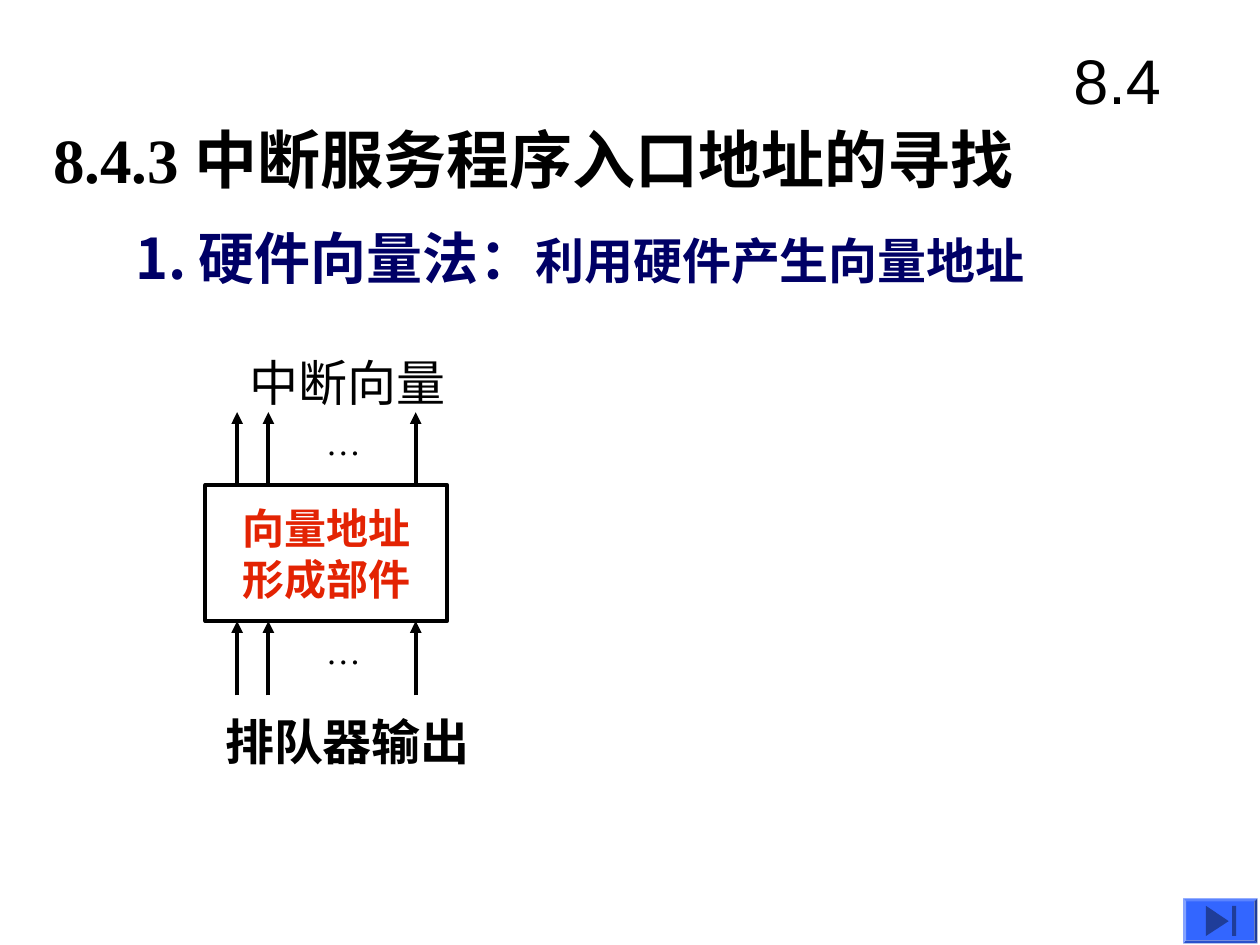
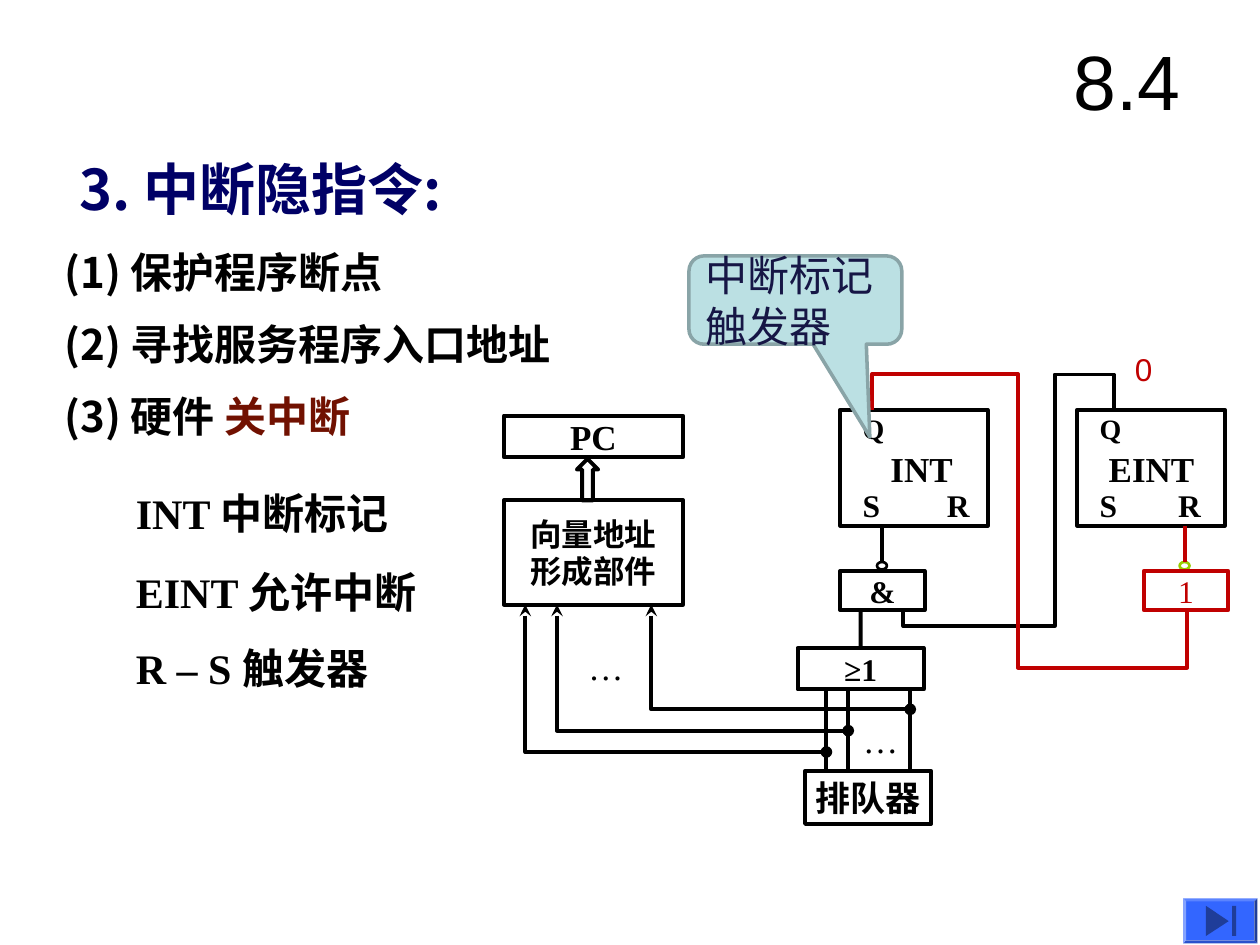
from lxml import etree
from pptx import Presentation
from pptx.dml.color import RGBColor
from pptx.enum.shapes import MSO_CONNECTOR, MSO_SHAPE
from pptx.enum.text import MSO_ANCHOR, MSO_AUTO_SIZE, PP_ALIGN
from pptx.oxml.ns import qn
from pptx.util import Cm, Pt

RECTANGLE, ELLIPSE = MSO_SHAPE.RECTANGLE, MSO_SHAPE.OVAL
BEVEL, UP_ARROW = MSO_SHAPE.BEVEL, MSO_SHAPE.UP_ARROW
CALLOUT = MSO_SHAPE.ROUNDED_RECTANGULAR_CALLOUT
STRAIGHT = MSO_CONNECTOR.STRAIGHT
LEFT, CENTER = PP_ALIGN.LEFT, PP_ALIGN.CENTER
TOP, MIDDLE = MSO_ANCHOR.TOP, MSO_ANCHOR.MIDDLE
NO_AUTOFIT = MSO_AUTO_SIZE.NONE

SERIF, SANS, CJK = "Times New Roman", "Arial", "Noto Sans CJK SC"
BLACK, NAVY, RED = "000000", "000066", "C00000"
TOP_SITE = 0


def color(value):
    return RGBColor.from_string(value)


def style_run(run, font, size, ink=BLACK, bold=False):
    run.font.name = font
    run.font.size = Pt(size)
    run.font.bold = bold
    run.font.color.rgb = color(ink)
    east_asian = etree.Element(qn("a:ea"), typeface=CJK)
    run.font._element.find(qn("a:latin")).addnext(east_asian)


def write(frame, text, font, size, ink=BLACK, bold=False, align=LEFT, pitch=None):
    frame.text = text
    for paragraph in frame.paragraphs:
        paragraph.alignment = align
        if pitch:
            paragraph.line_spacing = Pt(pitch)
        for run in paragraph.runs:
            style_run(run, font, size, ink, bold)


def append_run(paragraph, text, *style):
    run = paragraph.add_run()
    run.text = text
    style_run(run, *style)


def fill_placeholder(holder, bounds, text, *style, anchor=MIDDLE, pitch=None):
    holder.left, holder.top, holder.width, holder.height = map(Cm, bounds)
    frame = holder.text_frame
    frame.auto_size = NO_AUTOFIT
    frame.word_wrap = True
    frame.vertical_anchor = anchor
    frame.margin_left = frame.margin_right = 0
    write(frame, text, *style, True, pitch=pitch)
    return frame


def remove_bullets(frame, tab=None):
    for paragraph in frame.paragraphs:
        properties = paragraph._p.get_or_add_pPr()
        properties.set("marL", "0")
        properties.set("indent", "0")
        paragraph.space_before = Pt(0)
        etree.SubElement(properties, qn("a:buNone"))
        if tab:
            stops = etree.SubElement(properties, qn("a:tabLst"))
            etree.SubElement(stops, qn("a:tab"), pos=str(Cm(tab)), algn="l")


def add_label(slide, bounds, text, *style, anchor=TOP):
    frame = slide.shapes.add_textbox(*map(Cm, bounds)).text_frame
    frame.word_wrap = True
    frame.vertical_anchor = anchor
    write(frame, text, *style)


def paint(shape, fill, line, width=2.25):
    shape.shadow.inherit = False
    if fill:
        shape.fill.solid()
        shape.fill.fore_color.rgb = color(fill)
    else:
        shape.fill.background()
    if line:
        shape.line.color.rgb = color(line)
        shape.line.width = Pt(width)
    else:
        shape.line.fill.background()


def add_figure(slide, kind, bounds, fill=None, line=BLACK, width=2.25):
    figure = slide.shapes.add_shape(kind, *map(Cm, bounds))
    paint(figure, fill, line, width)
    return figure


def add_block(slide, bounds, text, font, size, ink=BLACK, bold=True, line=BLACK, pitch=None):
    block = add_figure(slide, RECTANGLE, bounds, line=line)
    frame = block.text_frame
    frame.word_wrap = False
    frame.vertical_anchor = MIDDLE
    write(frame, text, font, size, ink, bold, CENTER, pitch)
    return block


def set_line_ends(shape, head, tail):
    outline = shape.line._get_or_add_ln()
    for tag, kind in (("a:headEnd", head), ("a:tailEnd", tail)):
        if kind:
            etree.SubElement(outline, qn(tag), type=kind)


def add_wire(slide, start, end, ink=BLACK, tail=None, target=None):
    wire = slide.shapes.add_connector(STRAIGHT, *map(Cm, start + end))
    wire.line.color.rgb = color(ink)
    wire.line.width = Pt(2.25)
    set_line_ends(wire, None, tail)
    etree.SubElement(wire._element.spPr, qn("a:effectLst"))
    if target:
        wire.end_connect(target, TOP_SITE)


def add_outline(slide, points, fill=None, line=BLACK, head=None, tail=None):
    corners = [(Cm(x), Cm(y)) for x, y in points]
    builder = slide.shapes.build_freeform(*corners[0], scale=1.0)
    builder.add_line_segments(corners[1:], close=bool(fill))
    outline = builder.convert_to_shape()
    paint(outline, fill, line)
    if line:
        set_line_ends(outline, head, tail)


def add_ellipsis(slide, left, top):
    add_label(slide, (left, top, 1.22, 1.12), "…", SERIF, 20)


def add_section_and_button(slide, size):
    add_label(slide, (21.39, 0.43, 3.18, 2.34), "8.4", SANS, size, anchor=MIDDLE)
    button = add_figure(slide, BEVEL, (23.85, 18.11, 1.5, 0.91), "3366FF", None)
    button.adjustments[0] = 0.07
    icon = "1F3D99"
    add_outline(slide, [(24.31, 18.26), (24.77, 18.57), (24.31, 18.87)], icon, None)
    add_figure(slide, RECTANGLE, (24.84, 18.26, 0.08, 0.61), icon, None)


def add_flip_flop(slide, left, name, name_offset, reset_offset):
    top = 8.26
    add_figure(slide, RECTANGLE, (left, top, 2.97, 2.34))
    for text, dx, dy, size in (
        (name, name_offset, 0.64, 20),
        ("Q", 0.2, -0.08, 16),
        ("S", 0.2, 1.42, 18),
        ("R", reset_offset, 1.42, 18),
    ):
        width = 2.4 if text == name else 1.1
        add_label(slide, (left + dx, top + dy, width, 1.02), text, SERIF, size, BLACK, True)


def add_inverted_input(slide, x, bubble_ink, wire_ink):
    bubble = add_figure(slide, ELLIPSE, (x - 0.1, 11.33, 0.2, 0.15), line=bubble_ink, width=1.5)
    add_wire(slide, (x, 10.6), (x, 11.33), wire_ink, target=bubble)


def build_vector_slide(slide):
    title, body = slide.placeholders
    fill_placeholder(title, (1.07, 2.34, 24.13, 1.7),
                     "8.4.3 中断服务程序入口地址的寻找", SERIF, 36, BLACK)
    method = fill_placeholder(body, (2.74, 4.45, 21, 1.47), "1.\t硬件向量法：", CJK, 32, NAVY)
    remove_bullets(method, tab=1.83)
    append_run(method.paragraphs[0], "利用硬件产生向量地址", CJK, 28, NAVY, True)

    add_block(slide, (4.14, 9.78, 4.88, 2.74), "向量地址\n形成部件", CJK, 24, "E32303", pitch=28.8)
    for start, end in ((9.78, 8.31), (14.02, 12.52)):
        for x in (4.78, 5.41, 8.38):
            add_wire(slide, (x, start), (x, end), tail="triangle")
        add_ellipsis(slide, 6.32, end + 0.05)
    add_label(slide, (4.78, 6.98, 4.65, 1.45), "中断向量", SERIF, 28)
    add_label(slide, (4.29, 14.22, 5.92, 1.45), "排队器输出", SERIF, 28, BLACK, True)
    add_section_and_button(slide, 36)


def build_vector_unit(slide):
    add_block(slide, (10.16, 8.38, 3.61, 0.84), "PC", SERIF, 20)
    add_block(slide, (10.16, 10.08, 3.61, 2.11), "向量地址\n形成部件", CJK, 18, pitch=21.2)
    add_figure(slide, UP_ARROW, (11.63, 9.25, 0.43, 0.84))
    taps = (18.35, 17.1, 16.66)
    for step, (entry, tap) in enumerate(zip((13.13, 11.23, 10.59), taps)):
        level = 14.3 + 0.43 * step
        add_outline(slide, [(entry, 12.19), (entry, level), (tap, level)],
                    head="stealth", tail="oval")
        add_wire(slide, (tap, 13.9), (tap, 15.54))
    add_ellipsis(slide, 11.61, 12.88)
    add_ellipsis(slide, 17.15, 14.35)


def build_interrupt_logic(slide):
    add_flip_flop(slide, 16.94, "INT", 0.76, 1.9)
    add_flip_flop(slide, 21.72, "EINT", 0.38, 1.78)
    add_inverted_input(slide, 17.78, BLACK, BLACK)
    add_inverted_input(slide, 23.88, "99CC00", RED)
    add_block(slide, (16.94, 11.51, 1.7, 0.79), "&", SERIF, 18)
    add_block(slide, (23.06, 11.51, 1.7, 0.79), "1", SERIF, 18, RED, False, RED)
    or_gate = add_block(slide, (16.08, 13.06, 2.54, 0.84), "≥1", SERIF, 18)
    add_block(slide, (16.23, 15.54, 2.54, 1.07), "排队器", SERIF, 20)
    add_wire(slide, (17.35, 12.3), (17.35, 13.06), target=or_gate)
    add_outline(slide, [(18.21, 12.3), (18.21, 12.62), (21.26, 12.62),
                        (21.26, 7.55), (22.45, 7.55), (22.45, 8.26)])
    add_outline(slide, [(23.93, 12.3), (23.93, 13.46), (20.52, 13.46),
                        (20.52, 7.54), (17.58, 7.54), (17.58, 8.26)], line=RED)
    add_label(slide, (22.63, 6.93, 1.19, 1.02), "0", SANS, 18, RED)

    callout = add_figure(slide, CALLOUT, (13.89, 5.16, 4.29, 1.78), "BBE0E3", "89A4A7", 2)
    for index, value in enumerate((0.35, 1.55, 0.17)):
        callout.adjustments[index] = value
    callout.text_frame.word_wrap = True
    callout.text_frame.vertical_anchor = MIDDLE
    write(callout.text_frame, "中断标记触发器", CJK, 24, "161645")


def build_instruction_slide(slide):
    title, body = slide.placeholders
    fill_placeholder(title, (1.6, 3.05, 23.2, 1.47), "3. 中断隐指令:", CJK, 32, NAVY)
    steps = fill_placeholder(body, (1.3, 4.42, 12.5, 4.6),
                             "(1) 保护程序断点\n(2) 寻找服务程序入口地址\n(3) 硬件 ",
                             CJK, 24, BLACK, anchor=TOP, pitch=41)
    remove_bullets(steps)
    append_run(steps.paragraphs[2], "关中断", CJK, 24, "711101", True)
    for top, term in ((9.7, "INT 中断标记"), (11.3, "EINT 允许中断"), (12.83, "R – S 触发器")):
        add_label(slide, (2.49, top, 7.2, 1.27), term, SERIF, 24, BLACK, True)

    build_vector_unit(slide)
    build_interrupt_logic(slide)
    add_section_and_button(slide, 44)


def main():
    deck = Presentation()
    deck.slide_width, deck.slide_height = Cm(25.4), Cm(19.05)
    title_and_content = deck.slide_layouts[1]
    for build in (build_vector_slide, build_instruction_slide):
        build(deck.slides.add_slide(title_and_content))
    deck.save("out.pptx")


if __name__ == "__main__":
    main()
